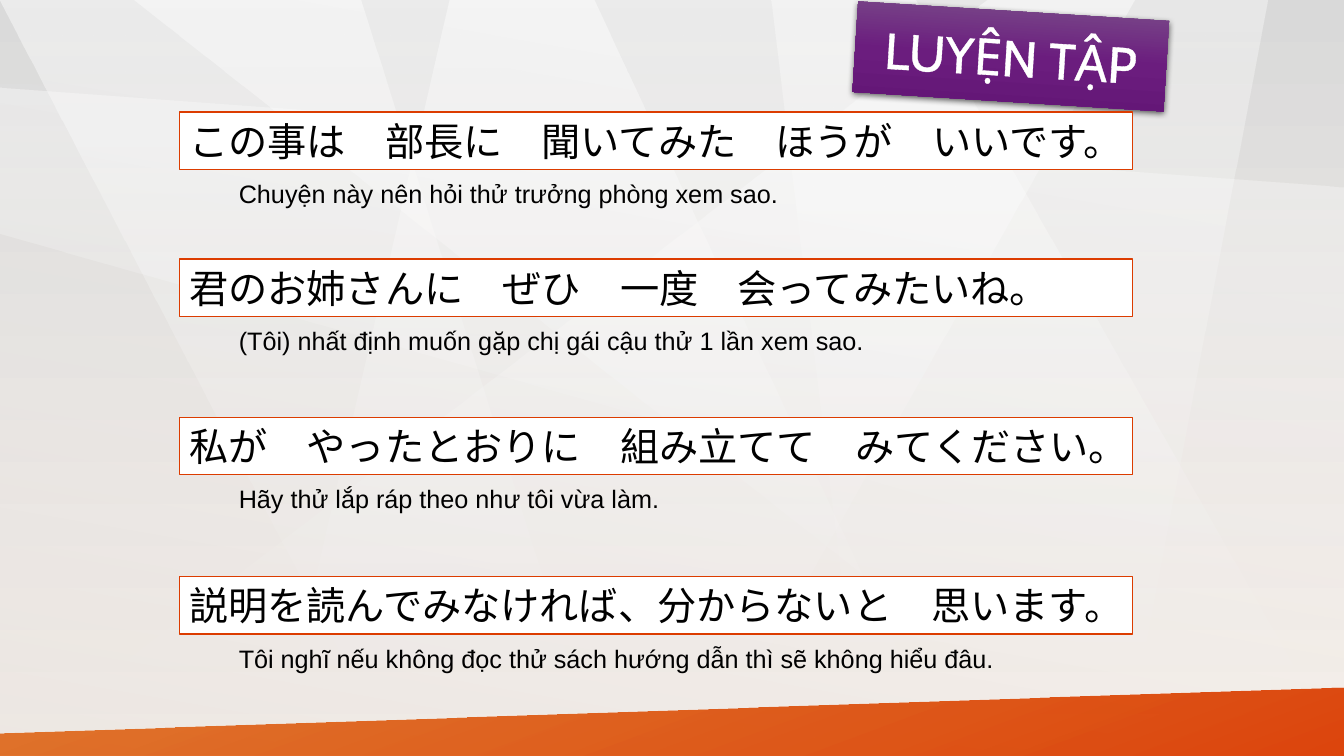
from dataclasses import dataclass

from lxml import etree
from pptx import Presentation
from pptx import util as u
from pptx.dml.color import RGBColor
from pptx.enum import shapes, text
from pptx.oxml.ns import qn


@dataclass(frozen=True)
class Theme:
    font: str = "Arial"
    title_font: str = "Cabin"
    ink: str = "000000"
    white: str = "FFFFFF"
    accent: str = "DC3C00"
    title_size: int = 36
    sentence_size: int = 28
    translation_size: int = 18
    # Gradient stops: position, colour, opacity in percent
    sky: tuple = ((0, "D9D9D9", 50), (100, "FCF5EF", 100))
    veil: tuple = ((0, "BFBFBF", 25), (100, "FFFFFF", 0))
    band: tuple = ((0, "DD5900", 80), (100, "DC3C00", 95))
    badge: tuple = ((0, "7B4F8A", 100), (50, "6B1D7E", 100), (100, "611574", 100))


THEME = Theme()

# Light facets: opacity at the top, corner points
FACETS = [
    (50, [(9.79, 0), (0, 7.51), (7.01, 7.51), (11.25, 0)]),
    (50, [(0, 0), (3.58, 0), (5.94, 7.5), (3.91, 7.5)]),
    (50, [(1.32, 0), (9.07, 0), (13.33, 7.5), (10.83, 7.5)]),
    (40, [(7.65, 0), (8.56, 7.5), (11.15, 7.5), (12.57, 0)]),
    (50, [(5.89, 0), (4.46, 0), (2.72, 7.5), (9.39, 7.5)]),
    (40, [(0, 0.87), (13.33, 1.86), (13.33, 6.1), (0, 2.32)]),
]
BAND = [(0, 7.27), (13.34, 6.82), (13.33, 7.51), (0, 7.51)]

# Top of the sentence box, sentence, translation, width of the translation
EXERCISES = [
    (1.11, "この事は　部長に　聞いてみた　ほうが　いいです。",
     "Chuyện này nên hỏi thử trưởng phòng xem sao.", 5.65),
    (2.57, "君のお姉さんに　ぜひ　一度　会ってみたいね。",
     "(Tôi) nhất định muốn gặp chị gái cậu thử 1 lần xem sao.", 6.52),
    (4.14, "私が　やったとおりに　組み立てて　みてください。",
     "Hãy thử lắp ráp theo như tôi vừa làm.", 4.47),
    (5.72, "説明を読んでみなければ、分からないと　思います。",
     "Tôi nghĩ nếu không đọc thử sách hướng dẫn thì sẽ không hiểu đâu.", 7.94),
]


def color_element(parent, color, opacity=100):
    clr = etree.SubElement(parent, qn("a:srgbClr"), val=color)
    if opacity < 100:
        etree.SubElement(clr, qn("a:alpha"), val=str(opacity * 1000))


def fill_gradient(fill, owner, stops, angle):
    """Swap a solid fill for a gradient with opacity."""
    fill.solid()
    solid = owner.find(".//" + qn("a:solidFill"))
    grad = etree.Element(qn("a:gradFill"), rotWithShape="1")
    stop_list = etree.SubElement(grad, qn("a:gsLst"))
    for position, color, opacity in stops:
        stop = etree.SubElement(stop_list, qn("a:gs"), pos=str(position * 1000))
        color_element(stop, color, opacity)
    etree.SubElement(grad, qn("a:lin"), ang=str(angle * 60000), scaled="0")
    solid.getparent().replace(solid, grad)


def paint_decoration(s, stops, angle):
    s.shadow.inherit = False
    s.line.fill.background()
    fill_gradient(s.fill, s._element.spPr, stops, angle)


def add_polygon(slide, points, stops, angle):
    corners = [(u.Inches(x), u.Inches(y)) for x, y in points]
    builder = slide.shapes.build_freeform(*corners[0], scale=1.0)
    builder.add_line_segments(corners[1:], close=True)
    paint_decoration(builder.convert_to_shape(), stops, angle)


def add_run(p, wording, font, size, color):
    r = p.add_run()
    r.text = wording
    r.font.name = font
    r.font.size = u.Pt(size)
    r.font.color.rgb = RGBColor.from_string(color)
    return r


def write_line(s, wording, size):
    tf = s.text_frame
    tf.word_wrap = True
    tf.auto_size = text.MSO_AUTO_SIZE.SHAPE_TO_FIT_TEXT
    tf.vertical_anchor = text.MSO_ANCHOR.TOP
    p = tf.paragraphs[0]
    p.alignment = text.PP_ALIGN.LEFT
    add_run(p, wording, THEME.font, size, THEME.ink)


def add_background(prs, slide):
    fill_gradient(slide.background.fill, slide._element, THEME.sky, 90)
    for opacity, points in FACETS:
        add_polygon(slide, points, ((0, THEME.white, opacity), (100, THEME.white, 0)), 90)
    veil = slide.shapes.add_shape(
        shapes.MSO_SHAPE.RECTANGLE, 0, u.Inches(-0.01), prs.slide_width, prs.slide_height)
    paint_decoration(veil, THEME.veil, 280)
    add_polygon(slide, BAND, THEME.band, 70)


def add_title_badge(slide, wording):
    s = slide.shapes.title
    slide.shapes._spTree.append(s._element)  # in front of the background
    s.left, s.top = u.Inches(8.48), u.Inches(0.11)
    s.width, s.height = u.Inches(3.09), u.Inches(0.9)
    s.rotation = 3.6
    # Rounded outline, gradient and soft shadow
    props = s._element.spPr
    geometry = etree.SubElement(props, qn("a:prstGeom"), prst="roundRect")
    etree.SubElement(geometry, qn("a:avLst"))
    fill_gradient(s.fill, props, THEME.badge, 90)
    s.line.fill.background()
    effects = etree.SubElement(props, qn("a:effectLst"))
    shadow = etree.SubElement(
        effects, qn("a:outerShdw"), blurRad=str(u.Pt(4.5)), dist=str(u.Pt(1.5)),
        dir="5400000", rotWithShape="0")
    color_element(shadow, THEME.ink, 63)
    # Outlined lettering
    tf = s.text_frame
    tf.word_wrap = True
    tf.auto_size = text.MSO_AUTO_SIZE.NONE
    tf.vertical_anchor = text.MSO_ANCHOR.MIDDLE
    p = tf.paragraphs[0]
    p.alignment = text.PP_ALIGN.CENTER
    r = add_run(p, wording, THEME.title_font, THEME.title_size, THEME.white)
    outline = etree.Element(qn("a:ln"), w=str(u.Pt(1.45)))
    color_element(etree.SubElement(outline, qn("a:solidFill")), THEME.white)
    r._r.get_or_add_rPr().insert(0, outline)


def add_exercise(slide, top, sentence, translation, width):
    note = slide.shapes.add_textbox(
        u.Inches(2.27), u.Inches(top + 0.61), u.Inches(width), u.Inches(0.4))
    write_line(note, translation, THEME.translation_size)
    box = slide.shapes.add_shape(
        shapes.MSO_SHAPE.RECTANGLE,
        u.Inches(1.78), u.Inches(top), u.Inches(9.45), u.Inches(0.57))
    box.shadow.inherit = False
    box.fill.solid()
    box.fill.fore_color.rgb = RGBColor.from_string(THEME.white)
    box.line.color.rgb = RGBColor.from_string(THEME.accent)
    box.line.width = u.Pt(1)
    write_line(box, sentence, THEME.sentence_size)


def main():
    prs = Presentation()
    prs.slide_width, prs.slide_height = u.Inches(13.33), u.Inches(7.5)
    slide = prs.slides.add_slide(prs.slide_layouts[5])
    add_background(prs, slide)
    add_title_badge(slide, "LUYỆN TẬP")
    for exercise in EXERCISES:
        add_exercise(slide, *exercise)
    prs.save("out.pptx")


if __name__ == "__main__":
    main()
